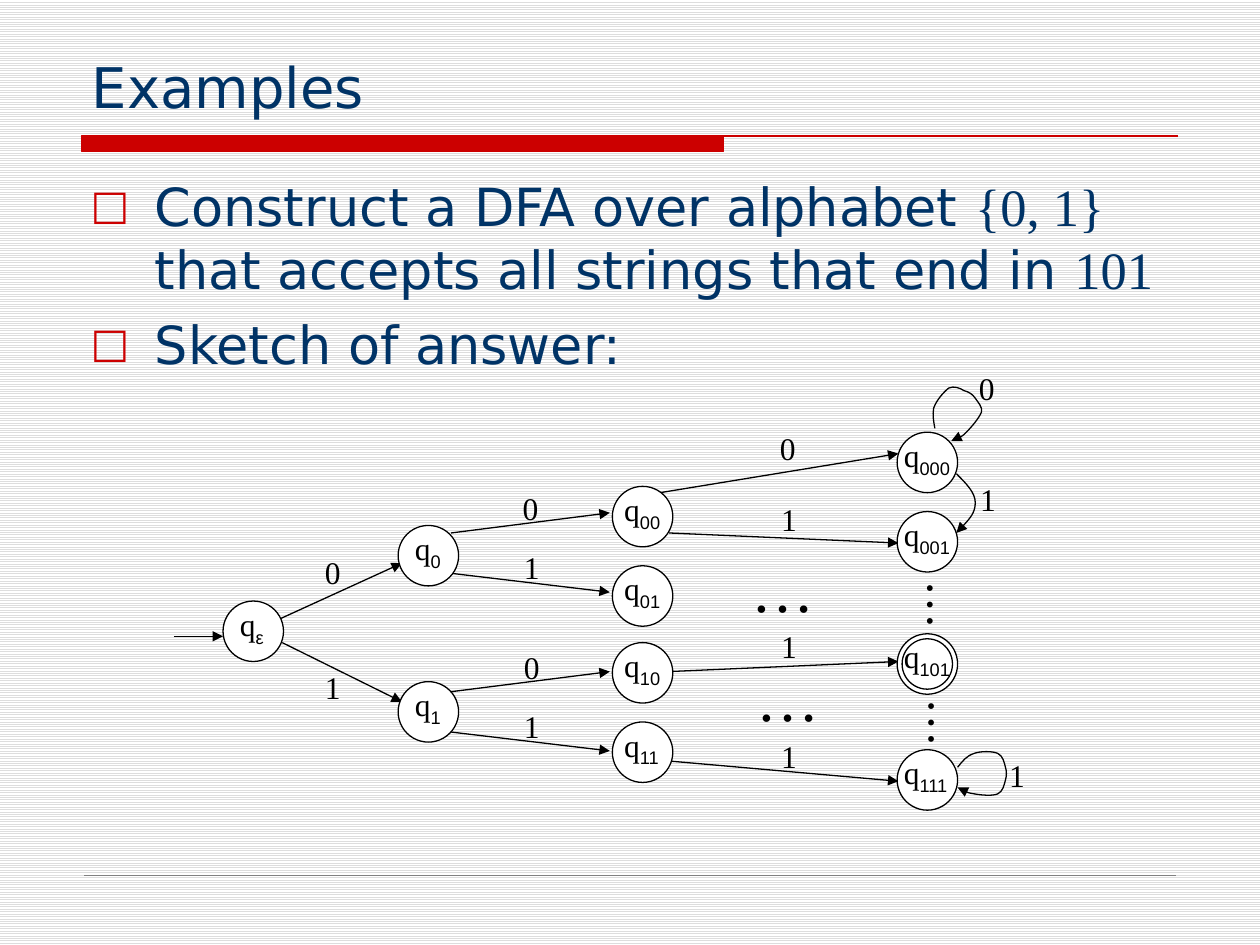
from lxml import etree
from pptx import Presentation
from pptx.dml.color import RGBColor
from pptx.enum.dml import MSO_PATTERN
from pptx.enum.shapes import MSO_CONNECTOR, MSO_SHAPE
from pptx.enum.text import MSO_ANCHOR, MSO_AUTO_SIZE
from pptx.oxml.ns import qn
from pptx.util import Inches, Pt

BLACK = RGBColor(0x00, 0x00, 0x00)
WHITE = RGBColor(0xFF, 0xFF, 0xFF)
STRIPE = RGBColor(0xDD, 0xDD, 0xDD)
NAVY = RGBColor(0x00, 0x33, 0x66)
RED = RGBColor(0xCC, 0x00, 0x00)
GREY = RGBColor(0x80, 0x80, 0x80)
SANS, SERIF, SUBSCRIPT = "DejaVu Sans", "Times New Roman", "Arial"

NODE = 0.48
INNER = 0.4
# left, top and subscript of each state
STATES = [
    (1.77, 4.77, "ε"),
    (3.16, 4.17, "0"), (3.16, 5.41, "1"),
    (4.86, 3.86, "00"), (4.86, 4.49, "01"), (4.86, 5.1, "10"), (4.86, 5.73, "11"),
    (7.12, 3.43, "000"), (7.12, 4.06, "001"), (7.12, 5.03, "101"), (7.12, 5.95, "111"),
]
# start, end, label and left top corner of the label
TRANSITIONS = [
    ((2.16, 4.94), (3.19, 4.47), "0", (2.48, 4.34)),
    ((2.24, 5.1), (3.19, 5.57), "1", (2.48, 5.25)),
    ((3.58, 4.23), (4.84, 4.07), "0", (4.05, 3.83)),
    ((3.58, 4.55), (4.84, 4.7), "1", (4.06, 4.3)),
    ((3.58, 5.49), (4.84, 5.33), "0", (4.06, 5.09)),
    ((3.58, 5.81), (4.84, 5.96), "1", (4.06, 5.56)),
    ((5.24, 3.91), (7.13, 3.6), "0", (6.09, 3.36)),
    ((5.31, 4.23), (7.13, 4.31), "1", (6.1, 3.92)),
    ((5.31, 5.33), (7.13, 5.25), "1", (6.1, 4.93)),
    ((5.31, 6.04), (7.13, 6.2), "1", (6.1, 5.8)),
]
# Bezier points in hundredths of an inch (a start, then three per segment),
# label and left top corner of the label
CURVES = [
    ([(742, 340), (741, 335), (740, 329), (741, 324),
      (743, 318), (749, 311), (753, 308),
      (757, 306), (762, 308), (765, 310),
      (769, 311), (772, 313), (774, 316),
      (776, 319), (780, 323), (779, 327),
      (777, 332), (771, 339), (767, 343),
      (763, 347), (759, 348), (755, 350)], "0", (7.67, 2.88)),
    ([(759, 376), (767, 384), (774, 391), (774, 399),
      (774, 407), (767, 415), (759, 423)], "1", (7.68, 3.76)),
    ([(760, 609), (764, 604), (767, 600), (773, 598),
      (778, 596), (788, 596), (792, 598),
      (796, 600), (797, 605), (798, 609),
      (799, 612), (799, 616), (798, 619),
      (797, 623), (796, 628), (792, 630),
      (788, 632), (778, 631), (773, 630),
      (767, 629), (764, 627), (760, 625)], "1", (7.91, 5.95)),
]
# left, top, width, height, text size and rotation
ELLIPSES = [
    (5.87, 4.31, 0.7, 0.7, 36, 0), (5.91, 5.18, 0.7, 0.7, 36, 0),
    (6.95, 4.51, 0.59, 0.57, 28, 270), (6.96, 5.45, 0.59, 0.57, 28, 270),
]


class SlideBuilder:
    def __init__(self, slide):
        self.slide = slide
        self.shapes = slide.shapes

    def background(self):
        fill = self.slide.background.fill
        fill.patterned()
        fill.pattern = MSO_PATTERN.LIGHT_HORIZONTAL
        fill.fore_color.rgb = STRIPE
        fill.back_color.rgb = WHITE

    def arrowhead(self, shape):
        etree.SubElement(shape.line._get_or_add_ln(), qn("a:tailEnd"), type="triangle")

    def line(self, start, end, color=BLACK, width=0.75, arrow=False):
        connector = self.shapes.add_connector(
            MSO_CONNECTOR.STRAIGHT, *(Inches(value) for value in start + end))
        connector.line.color.rgb = color
        connector.line.width = Pt(width)
        if arrow:
            self.arrowhead(connector)
        etree.SubElement(connector._element.spPr, qn("a:effectLst"))

    def paint(self, shape, fill=None, line=BLACK):
        shape.shadow.inherit = False
        if fill is None:
            shape.fill.background()
        else:
            shape.fill.solid()
            shape.fill.fore_color.rgb = fill
        shape.line.color.rgb = line
        shape.line.width = Pt(0.75)

    def circle(self, left, top, size, fill=None):
        shape = self.shapes.add_shape(
            MSO_SHAPE.OVAL, Inches(left), Inches(top), Inches(size), Inches(size))
        self.paint(shape, fill)

    def title_rule(self):
        """Draw the thick bar and the thin line along its top as one outline."""
        builder = self.shapes.build_freeform(65, 108, scale=Inches(0.01))
        builder.add_line_segments([(574, 108), (574, 120), (65, 120)], close=True)
        builder.move_to(65, 108)
        builder.add_line_segments([(935, 108)], close=False)
        self.paint(builder.convert_to_shape(), RED, RED)

    def curve(self, points):
        """Draw straight segments between the anchors, then bend each one."""
        anchors = points[::3]
        builder = self.shapes.build_freeform(*anchors[0], scale=Inches(0.01))
        builder.add_line_segments(anchors[1:], close=False)
        shape = builder.convert_to_shape()
        left, top = (min(axis) for axis in zip(*anchors))
        segments = list(shape._element.iter(qn("a:lnTo")))
        for index, segment in enumerate(segments):
            bend = etree.Element(qn("a:cubicBezTo"))
            for x, y in points[3 * index + 1:3 * index + 4]:
                etree.SubElement(bend, qn("a:pt"), x=str(x - left), y=str(y - top))
            segment.getparent().replace(segment, bend)
        self.paint(shape)
        self.arrowhead(shape)

    def run(self, paragraph, text, font, size, color=BLACK):
        run = paragraph.add_run()
        run.text = text
        run.font.name = font
        run.font.size = Pt(size)
        run.font.color.rgb = color
        return run

    def text_box(self, left, top, width, height, wrap=True):
        box = self.shapes.add_textbox(
            Inches(left), Inches(top), Inches(width), Inches(height))
        box.text_frame.word_wrap = wrap
        box.text_frame.auto_size = MSO_AUTO_SIZE.NONE if wrap else MSO_AUTO_SIZE.SHAPE_TO_FIT_TEXT
        return box

    def label(self, text, left, top, width=0.32, height=0.4, size=18, rotation=0):
        box = self.text_box(left, top, width, height, wrap=False)
        box.rotation = rotation
        self.run(box.text_frame.paragraphs[0], text, SERIF, size)

    def state_name(self, left, top, subscript):
        width = 0.33 + 0.08 * len(subscript)
        box = self.text_box(left + (NODE - width) / 2, top - 0.02, width, 0.4, wrap=False)
        paragraph = box.text_frame.paragraphs[0]
        self.run(paragraph, "q", SERIF, 18)
        run = self.run(paragraph, subscript, SUBSCRIPT, 18)
        run.font._element.set("baseline", "-25000")

    def title(self, text):
        frame = self.text_box(0.63, 0.17, 8.75, 0.83).text_frame
        frame.vertical_anchor = MSO_ANCHOR.BOTTOM
        self.run(frame.paragraphs[0], text, SANS, 32, NAVY)

    def bullets(self, items):
        frame = self.text_box(0.62, 1.33, 8.75, 5.5).text_frame
        for index, item in enumerate(items):
            paragraph = frame.add_paragraph() if index else frame.paragraphs[0]
            properties = paragraph._p.get_or_add_pPr()
            properties.set("marL", str(Inches(0.51)))
            properties.set("indent", str(-Inches(0.51)))
            color = etree.SubElement(properties, qn("a:buClr"))
            etree.SubElement(color, qn("a:srgbClr"), val=str(RED))
            etree.SubElement(properties, qn("a:buSzPct"), val="78000")
            etree.SubElement(properties, qn("a:buFont"), typeface=SANS)
            etree.SubElement(properties, qn("a:buChar"), char="□")
            if index:
                paragraph.space_before = Pt(7)
            for text, font in item:
                self.run(paragraph, text, font, 30, NAVY)


def main():
    presentation = Presentation()
    presentation.slide_width, presentation.slide_height = Inches(10), Inches(7.5)
    builder = SlideBuilder(presentation.slides.add_slide(presentation.slide_layouts[6]))

    builder.background()
    builder.title_rule()
    builder.line((0.67, 6.95), (9.33, 6.95), GREY, 0.25)
    builder.title("Examples")
    builder.bullets([
        [("Construct a DFA over alphabet ", SANS), ("{0, 1}", SERIF),
         (" that accepts all strings that end in ", SANS), ("101", SERIF)],
        [("Sketch of answer:", SANS)],
    ])

    builder.line((1.38, 5.05), (1.77, 5.05), arrow=True)
    for start, end, _, _ in TRANSITIONS:
        builder.line(start, end, arrow=True)
    for left, top, subscript in STATES:
        builder.circle(left, top, NODE, WHITE)
        if subscript == "101":
            inset = (NODE - INNER) / 2
            builder.circle(left + inset, top + inset, INNER)
        builder.state_name(left, top, subscript)
    for points, _, _ in CURVES:
        builder.curve(points)
    for *_, text, corner in TRANSITIONS + CURVES:
        builder.label(text, *corner)
    for placement in ELLIPSES:
        builder.label("…", *placement)

    presentation.save("out.pptx")


if __name__ == "__main__":
    main()
